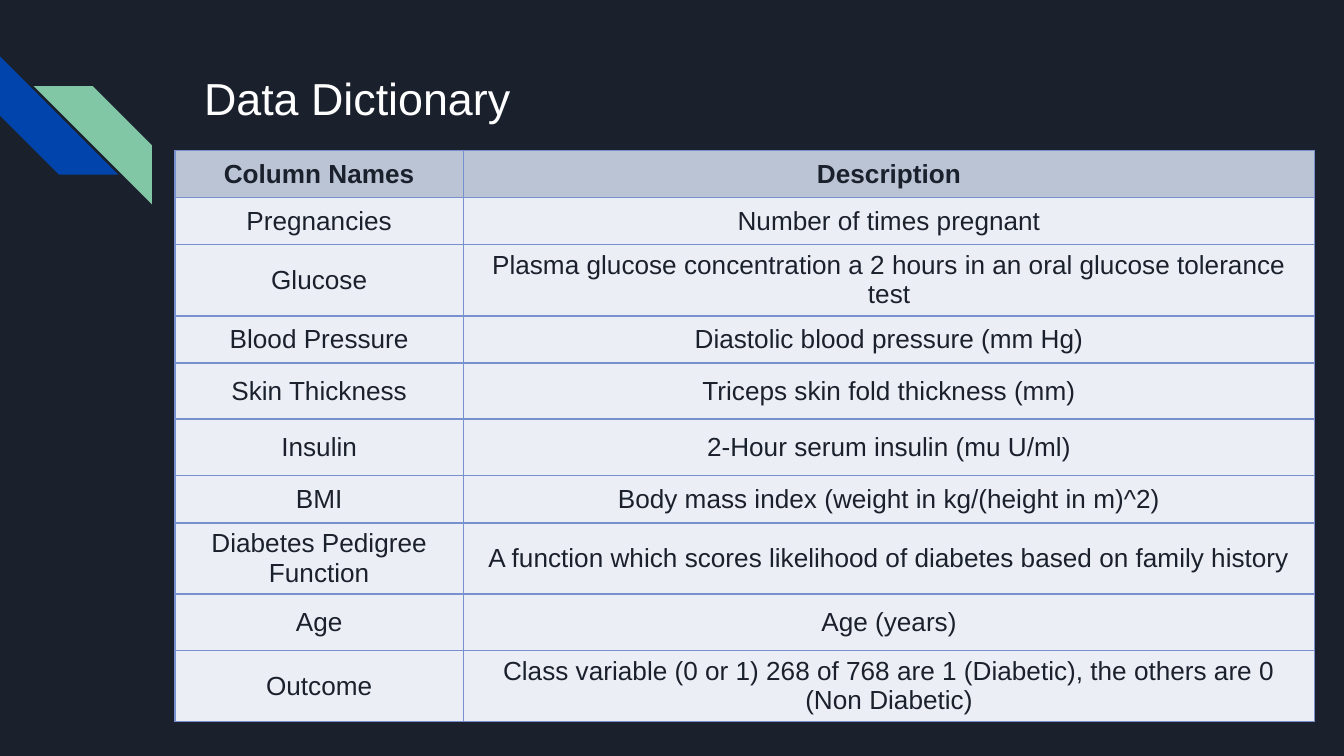
from lxml.etree import SubElement
from pptx import Presentation
from pptx.dml.color import RGBColor
from pptx.enum.shapes import MSO_SHAPE
from pptx.enum.text import MSO_ANCHOR, PP_ALIGN
from pptx.oxml.ns import qn
from pptx.util import Inches, Pt

NIGHT, WHITE, BLUE, GREEN = "1B212C", "FFFFFF", "0145AC", "82C7A5"
HEAD, BODY, RULE = "BBC4D5", "ECEEF6", "7890CD"

ROWS = [
    ("Column Names", "Description"),
    ("Pregnancies", "Number of times pregnant"),
    ("Glucose", "Plasma glucose concentration a 2 hours in an oral glucose tolerance test"),
    ("Blood Pressure", "Diastolic blood pressure (mm Hg)"),
    ("Skin Thickness", "Triceps skin fold thickness (mm)"),
    ("Insulin", "2-Hour serum insulin (mu U/ml)"),
    ("BMI", "Body mass index (weight in kg/(height in m)^2)"),
    ("Diabetes Pedigree Function",
     "A function which scores likelihood of diabetes based on family history"),
    ("Age", "Age (years)"),
    ("Outcome",
     "Class variable (0 or 1) 268 of 768 are 1 (Diabetic), the others are 0 (Non Diabetic)"),
]
LOW, MID, TALL = 0.35, 0.42, 0.53
HEIGHTS = [LOW, LOW, TALL, LOW, MID, MID, LOW, TALL, MID, TALL]
WIDTHS = [2.15, 6.33]


def paint(fill, color):
    fill.solid()
    fill.fore_color.rgb = RGBColor.from_string(color)


def style(para, size, color, bold=False):
    for run in para.runs:
        font = run.font
        font.name, font.size, font.bold = "Arial", Pt(size), bold
        font.color.rgb = RGBColor.from_string(color)


def add_stripes(slide, left, top):
    size = 0.88
    for x, y, turn, color in [(0, 0, 270, BLUE), (0.25, 0.22, 90, GREEN)]:
        stripe = slide.shapes.add_shape(
            MSO_SHAPE.DIAGONAL_STRIPE, Inches(left + x), Inches(top + y),
            Inches(size), Inches(size))
        stripe.rotation = turn
        stripe.shadow.inherit = False
        paint(stripe.fill, color)
        stripe.line.fill.background()


def add_title(slide, left, top, width, height):
    box = slide.shapes.add_textbox(
        Inches(left), Inches(top), Inches(width), Inches(height))
    frame = box.text_frame
    frame.word_wrap = True
    frame.margin_left = frame.margin_right = Inches(0.1)
    frame.margin_top = frame.margin_bottom = Inches(0.1)
    frame.text = "Data Dictionary"
    style(frame.paragraphs[0], 24, WHITE)


def add_borders(cell, color):
    """Draw all four sides; they must come before the cell's fill."""
    props = cell._tc.get_or_add_tcPr()
    for side in ("a:lnL", "a:lnR", "a:lnT", "a:lnB"):
        line = SubElement(props, qn(side), w=str(Pt(1)))
        fill = SubElement(line, qn("a:solidFill"))
        SubElement(fill, qn("a:srgbClr"), val=color)


def add_grid(slide, left, top):
    table = slide.shapes.add_table(
        len(ROWS), len(WIDTHS), Inches(left), Inches(top),
        Inches(sum(WIDTHS)), Inches(sum(HEIGHTS))).table
    table.horz_banding = False
    for column, width in zip(table.columns, WIDTHS):
        column.width = Inches(width)
    for i, (words, height) in enumerate(zip(ROWS, HEIGHTS)):
        table.rows[i].height = Inches(height)
        for j, text in enumerate(words):
            cell = table.cell(i, j)
            add_borders(cell, RULE)
            paint(cell.fill, BODY if i else HEAD)
            cell.vertical_anchor = MSO_ANCHOR.MIDDLE
            cell.margin_top = cell.margin_bottom = Inches(0.03)
            cell.text_frame.text = text
            para = cell.text_frame.paragraphs[0]
            para.alignment = PP_ALIGN.CENTER
            style(para, 14, NIGHT, bold=i == 0)


def main():
    deck = Presentation()
    deck.slide_width, deck.slide_height = Inches(10), Inches(10 * 9 / 16)
    slide = deck.slides.add_slide(deck.slide_layouts[6])
    paint(slide.background.fill, NIGHT)
    add_stripes(slide, 0, 0.42)
    add_title(slide, 1.42, 0.43, 7.7, 1)
    add_grid(slide, 1.3, 1.12)
    deck.save("out.pptx")


if __name__ == "__main__":
    main()
